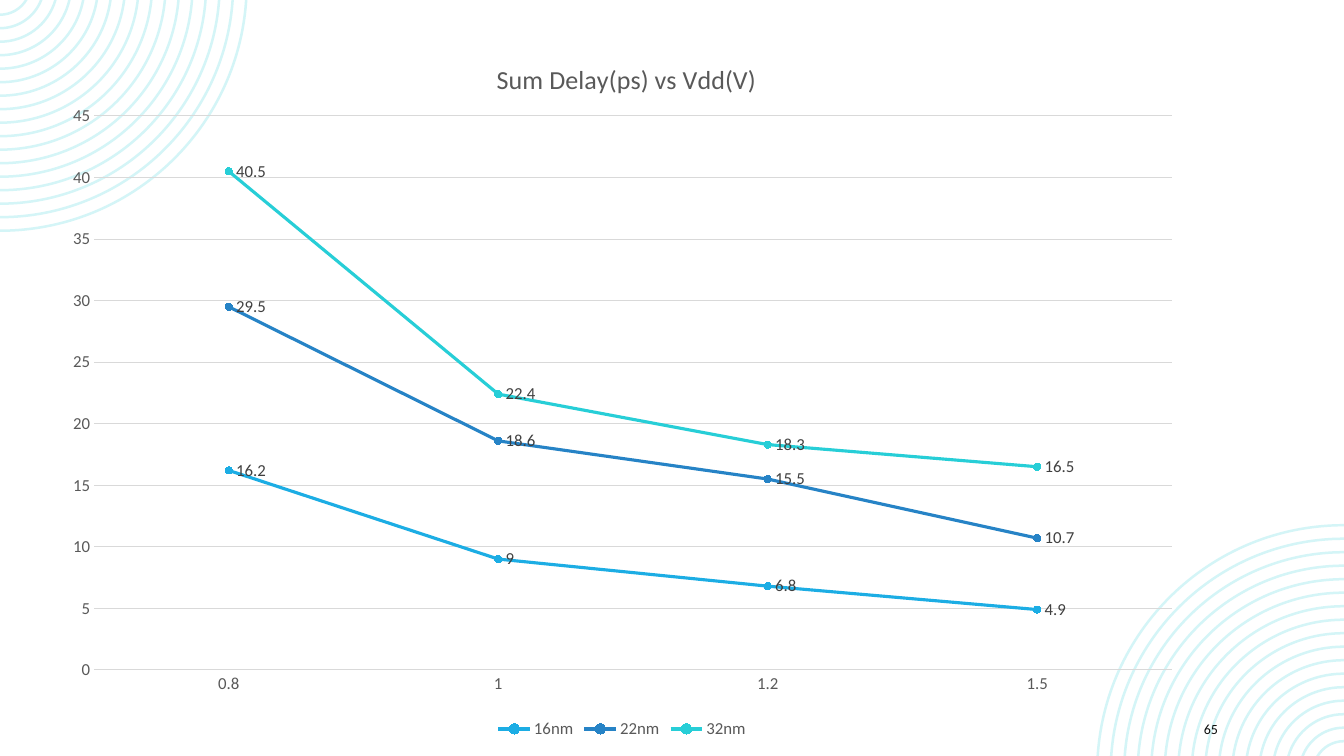
from dataclasses import dataclass
from math import asin, cos, pi, sin, tan

from lxml import etree
from pptx import Presentation
from pptx.chart.data import CategoryChartData
from pptx.dml.color import RGBColor
from pptx.enum.chart import (XL_CHART_TYPE, XL_LABEL_POSITION,
                             XL_LEGEND_POSITION, XL_MARKER_STYLE, XL_TICK_MARK)
from pptx.enum.text import MSO_ANCHOR
from pptx.oxml.ns import qn
from pptx.util import Pt

LINE_MARKERS = XL_CHART_TYPE.LINE_MARKERS
LABEL_RIGHT = XL_LABEL_POSITION.RIGHT
LEGEND_BOTTOM = XL_LEGEND_POSITION.BOTTOM
CIRCLE = XL_MARKER_STYLE.CIRCLE
NO_TICK = XL_TICK_MARK.NONE
MIDDLE = MSO_ANCHOR.MIDDLE

SLIDE_W, SLIDE_H = 1344, 756
EMU_PER_PX = 12192000 / SLIDE_W
CHART_BOX = (50, 29, 1144, 714)
PLOT_BOX = (94, 116, 1078, 554)
TITLE_CORNER = (492, 56)

VOLTAGES = ("0.8", "1", "1.2", "1.5")
DELAYS = {
    "16nm": (16.2, 9, 6.8, 4.9),
    "22nm": (29.5, 18.6, 15.5, 10.7),
    "32nm": (40.5, 22.4, 18.3, 16.5),
}


@dataclass(frozen=True)
class Theme:
    font: str = "Calibri"
    rings: str = "D4F5F7"
    grid: str = "D9D9D9"
    muted: str = "595959"
    label: str = "404040"
    number: str = "0D0D0D"
    series: tuple = ("1CADE4", "2683C6", "27CED7")
    title_size: float = 18.6
    chart_size: int = 12
    number_size: int = 10
    grid_width: float = 0.75
    series_width: float = 2.25
    marker_size: int = 5


THEME = Theme()


def px(length):
    return round(length * EMU_PER_PX)


def style_font(font, size, color):
    font.name = THEME.font
    font.size = Pt(size)
    font.bold = False
    font.color.rgb = RGBColor.from_string(color)


def style_line(line, color, width):
    line.color.rgb = RGBColor.from_string(color)
    line.width = Pt(width)


def edge_curve(radius, overshoot=16):
    start = asin(overshoot / radius)
    handle = radius * 4 / 3 * tan((pi / 2 - start) / 4)
    x, y = radius * cos(start), 0
    bottom = radius - overshoot
    return [(x, y), (x - handle * sin(start), y + handle * cos(start)),
            (handle, bottom), (0, bottom)]


def ring_outline(radius, thickness=2.5):
    return edge_curve(radius) + edge_curve(radius - thickness)[::-1]


def bend_edges(rings):
    segments = list(rings.element.iter(qn("a:lnTo")))
    for first in range(0, len(segments), 7):
        for start in (first, first + 4):
            handles = segments[start:start + 3]
            curve = etree.Element(qn("a:cubicBezTo"))
            handles[0].addprevious(curve)
            for handle in handles:
                curve.append(handle[0])
                handle.getparent().remove(handle)


def add_corner_rings(slide, opposite=False):
    def place(point):
        x, y = point
        return (px(SLIDE_W - x), px(SLIDE_H - y)) if opposite else (px(x), px(y))

    outlines = [[place(p) for p in ring_outline(248 - 13.5 * i)] for i in range(17)]
    builder = slide.shapes.build_freeform(*outlines[0][0], scale=1.0)
    for index, outline in enumerate(outlines):
        if index:
            builder.move_to(*outline[0])
        builder.add_line_segments(outline[1:], close=True)
    rings = builder.convert_to_shape()
    bend_edges(rings)
    rings.shadow.inherit = False
    rings.fill.solid()
    rings.fill.fore_color.rgb = RGBColor.from_string(THEME.rings)
    rings.line.fill.background()


def set_layout(parent, position, left, top, size=None):
    chart_left, chart_top, chart_w, chart_h = CHART_BOX
    current = parent.find(qn("c:layout"))
    if current is not None:
        parent.remove(current)
    layout = etree.Element(qn("c:layout"))
    manual = etree.SubElement(layout, qn("c:manualLayout"))
    settings = [("xMode", "edge"), ("yMode", "edge"),
                ("x", (left - chart_left) / chart_w),
                ("y", (top - chart_top) / chart_h)]
    if size:
        settings.insert(0, ("layoutTarget", "inner"))
        settings += [("w", size[0] / chart_w), ("h", size[1] / chart_h)]
    for name, value in settings:
        etree.SubElement(manual, qn(f"c:{name}")).set("val", str(value))
    parent.insert(position, layout)


def style_axes(chart):
    voltage, delay = chart.category_axis, chart.value_axis
    for axis in (voltage, delay):
        axis.major_tick_mark = axis.minor_tick_mark = NO_TICK
        style_font(axis.tick_labels.font, THEME.chart_size, THEME.muted)
    style_line(voltage.format.line, THEME.grid, THEME.grid_width)
    delay.minimum_scale, delay.maximum_scale, delay.major_unit = 0, 45, 5
    delay.format.line.fill.background()
    style_line(delay.major_gridlines.format.line, THEME.grid, THEME.grid_width)


def style_series(series, color):
    series.smooth = False
    style_line(series.format.line, color, THEME.series_width)
    marker = series.marker
    marker.style = CIRCLE
    marker.size = THEME.marker_size
    marker.format.fill.solid()
    marker.format.fill.fore_color.rgb = RGBColor.from_string(color)
    style_line(marker.format.line, color, THEME.grid_width)
    labels = series.data_labels
    labels.show_value = True
    labels.position = LABEL_RIGHT
    style_font(labels.font, THEME.chart_size, THEME.label)


def add_delay_chart(slide):
    delays = CategoryChartData()
    delays.categories = VOLTAGES
    for node, values in DELAYS.items():
        delays.add_series(node, values)
    chart = slide.shapes.add_chart(
        LINE_MARKERS, *map(px, CHART_BOX), delays).chart
    style_font(chart.font, THEME.chart_size, THEME.muted)

    heading = chart.chart_title.text_frame.paragraphs[0].add_run()
    heading.text = "Sum Delay(ps) vs Vdd(V)"
    style_font(heading.font, THEME.title_size, THEME.muted)
    chart.chart_title.include_in_layout = False
    set_layout(chart.chart_title.element, 1, *TITLE_CORNER)
    set_layout(chart.element.find(f".//{qn('c:plotArea')}"), 0,
               *PLOT_BOX[:2], size=PLOT_BOX[2:])

    chart.has_legend = True
    chart.legend.position = LEGEND_BOTTOM
    chart.legend.include_in_layout = False
    style_font(chart.legend.font, THEME.chart_size, THEME.muted)

    style_axes(chart)
    plot = chart.plots[0]
    plot.vary_by_categories = False
    for series, color in zip(plot.series, THEME.series):
        style_series(series, color)


def add_page_number(slide, number):
    frame = slide.shapes.add_textbox(px(1194), px(714), px(107), px(30)).text_frame
    frame.word_wrap = True
    frame.vertical_anchor = MIDDLE
    digits = frame.paragraphs[0].add_run()
    digits.text = number
    style_font(digits.font, THEME.number_size, THEME.number)


def main():
    deck = Presentation()
    deck.slide_width, deck.slide_height = px(SLIDE_W), px(SLIDE_H)
    slide = deck.slides.add_slide(deck.slide_layouts.get_by_name("Blank"))
    add_corner_rings(slide)
    add_corner_rings(slide, opposite=True)
    add_page_number(slide, "65")
    add_delay_chart(slide)
    deck.save("out.pptx")


if __name__ == "__main__":
    main()
